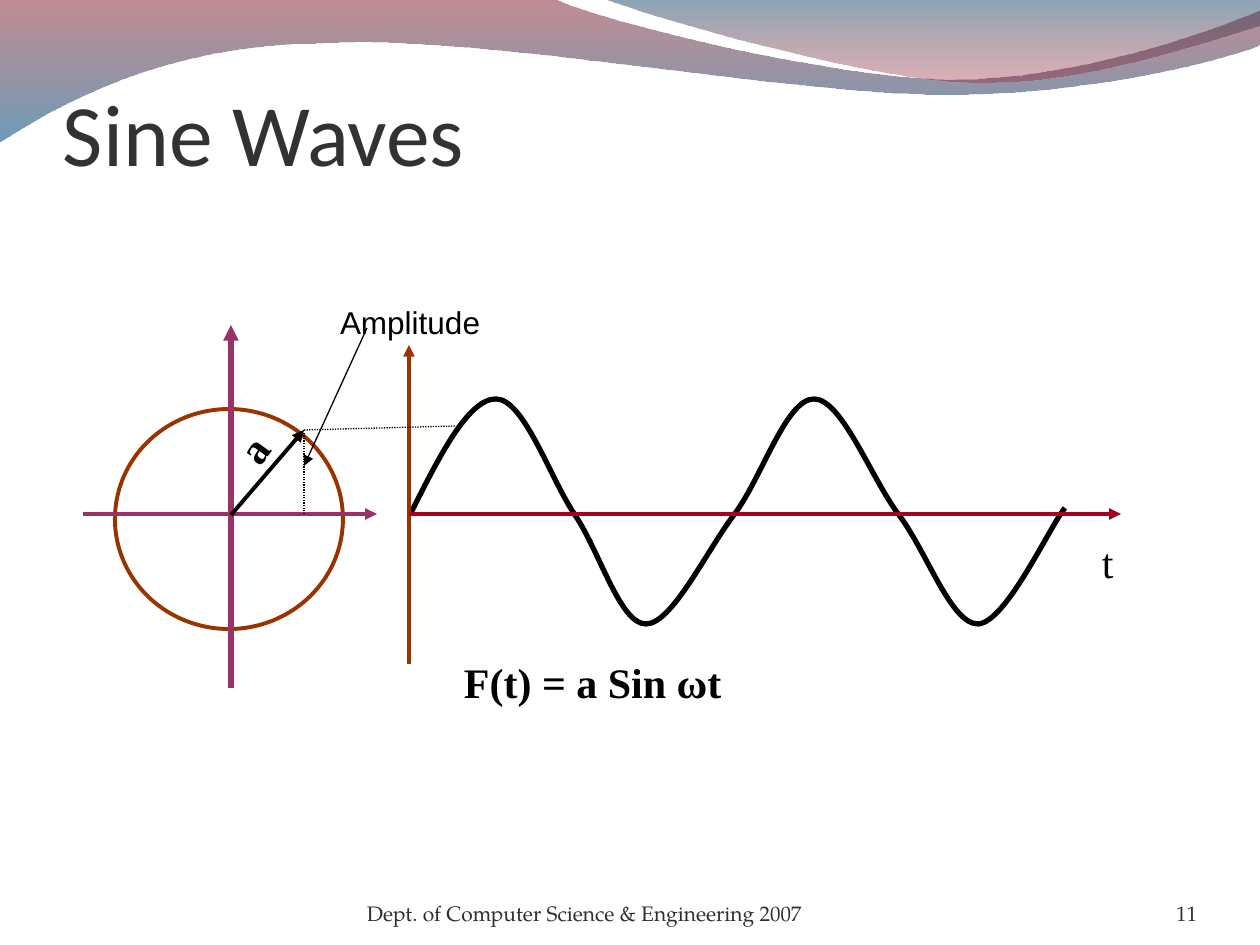
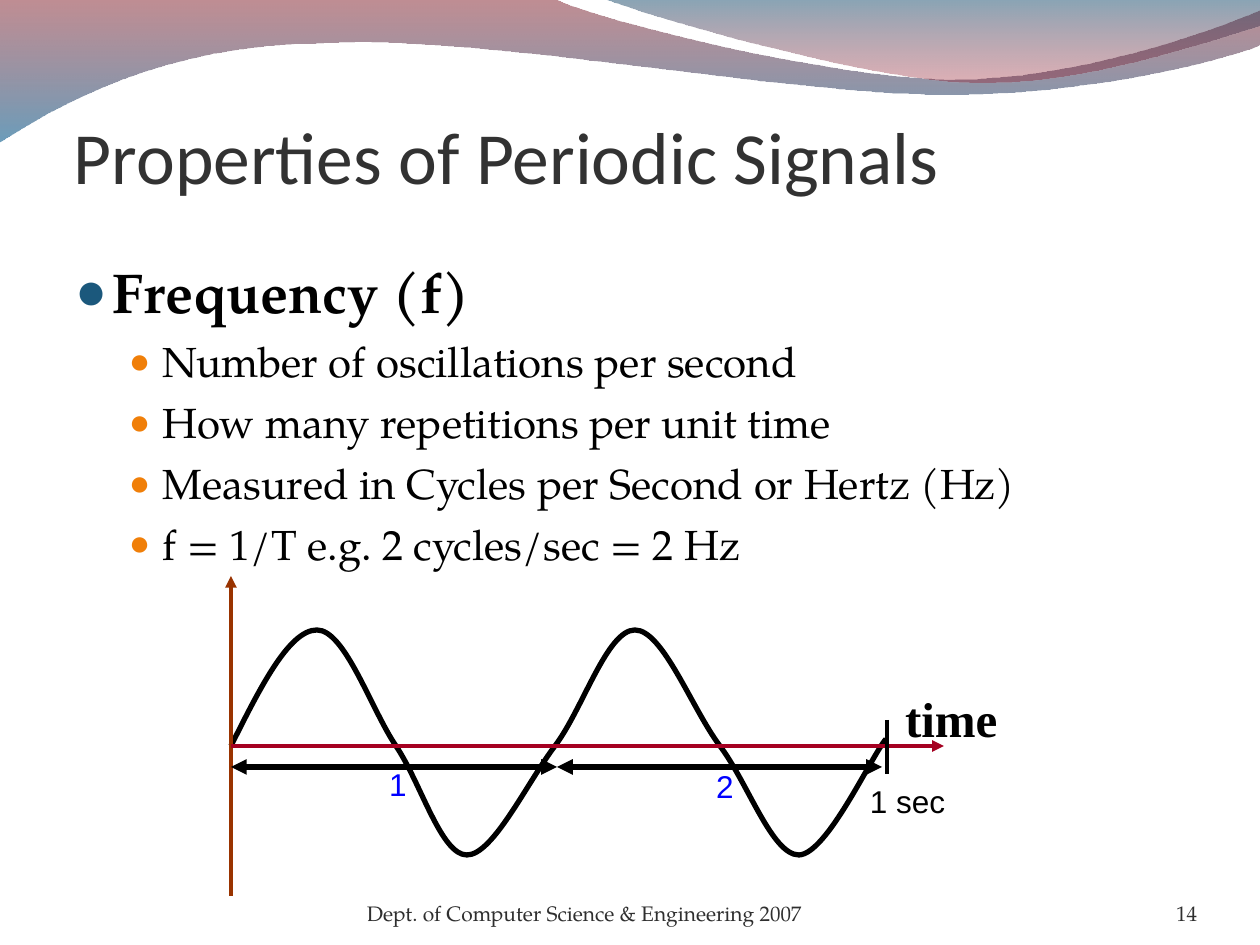
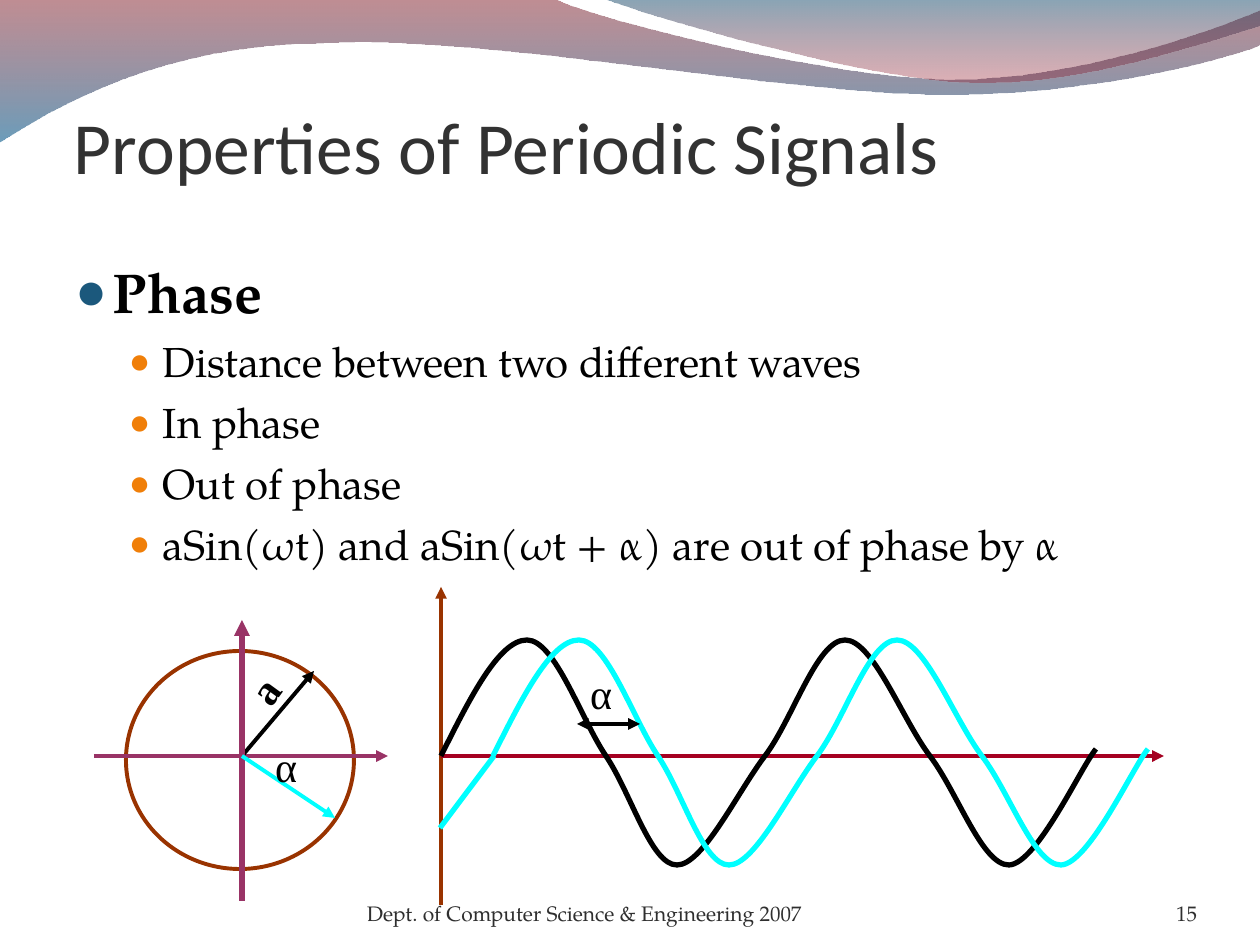
from lxml import etree
from pptx import Presentation
from pptx import util as u
from pptx.dml.color import RGBColor
from pptx.enum import dml, shapes, text
from pptx.oxml.ns import qn

SCALE = 914400 / 126
C = {
    "title": "323232", "footer": "2F2F2F", "black": "000000", "blue": "0000FF",
    "cyan": "00FFFF", "brown": "993300", "plum": "993366", "red": "A50021",
    "bullet": "1B587C", "subbullet": "F07F09",
    "wine": "7C121E", "azure": "005588", "navy": "064164", "crimson": "A00E1E",
}
SERIF, BODY = "Times New Roman", "TeX Gyre Pagella"

BANDS = [
    ([[(0, -1)], [(554, -1)],
      [(600, 21), (837, 79), (955, 79)], [(1075, 79), (1207, 33), (1260, 11)],
      [(1261, 45)],
      [(1239, 55), (1096, 96), (940, 94)], [(784, 94), (481, 35), (324, 43)],
      [(163, 44), (58, 105), (-1, 142)], [(0, -1)]],
     [("wine", 48), ("azure", 58)]),
    ([[(604, -1)],
      [(641, 14), (859, 78), (969, 82)], [(1079, 87), (1211, 40), (1260, 26)],
      [(1260, 0)], [(604, -1)]],
     [("navy", 48), ("crimson", 33)]),
]
WAVE = [[(0, 0)],
        [(29, -58), (58, -116), (86, -116)], [(114, -116), (140, -37), (165, 0)],
        [(190, 37), (210, 109), (236, 109)], [(262, 109), (296, 37), (324, 0)],
        [(352, -37), (376, -116), (404, -116)], [(432, -116), (461, -37), (489, 0)],
        [(517, 37), (541, 109), (568, 109)], [(596, 108), (640, 11), (655, -7)]]

SLIDES = [
    {
        "number": "11", "title": ("Sine Waves", (63, 73, 1134, 158), 50), "body": [],
        "marks": [
            ("wave", (410, 515), "black", 3, ""),
            ("line", (409, 664, 409, 345), "brown", 2.25, "tail"),
            ("line", (409, 514, 1121, 514), "red", 2.25, "tail"),
            ("circle", (115, 409, 228, 220), "brown", 2.25, ""),
            ("line", (231, 325, 231, 688), "plum", 3, "head"),
            ("line", (83, 514, 377, 514), "plum", 2.25, "tail"),
            ("line", (231, 515, 304, 430), "black", 2.25, "tail"),
            ("line", (304, 514, 304, 430), "black", 0.75, "dot"),
            ("line", (367, 328, 304, 466), "black", 0.75, "tail"),
            ("line", (304, 430, 456, 426), "black", 0.75, "dot"),
        ],
        "labels": [
            ("a", (231, 420, 42, 63), dict(bold=True, rotation=306)),
            ("F(t) = a Sin ωt", (451, 651, 304, 63), dict(bold=True)),
            ("t", (1089, 531, 38, 63), dict(wrap=False)),
            ("Amplitude", (327, 297, 168, 50), dict(size=18, font="Arial", wrap=False)),
        ],
    },
    {
        "number": "14", "title": ("Properties of Periodic Signals", (74, 105, 1071, 158), 42),
        "body": ["Frequency (f)", "Number of oscillations per second",
                 "How many repetitions per unit time",
                 "Measured in Cycles per Second or Hertz (Hz)",
                 "f = 1/T e.g. 2 cycles/sec = 2 Hz"],
        "marks": [
            ("wave", (231, 746), "black", 3, ""),
            ("line", (231, 896, 231, 576), "brown", 2.25, "tail"),
            ("line", (231, 746, 944, 746), "red", 2.25, "tail"),
            ("line", (231, 767, 557, 767), "black", 3, "head tail"),
            ("line", (557, 767, 882, 767), "black", 3, "head tail"),
            ("line", (887, 720, 887, 774), "black", 2.15, ""),
        ],
        "labels": [
            ("time", (892, 683, 158, 72), dict(size=28, bold=True)),
            ("1 sec", (857, 776, 104, 50), dict(size=18, font="Arial", wrap=False)),
            ("1", (376, 759, 44, 50), dict(size=18, font="Arial", color="blue", wrap=False)),
            ("2", (703, 761, 44, 50), dict(size=18, font="Arial", color="blue", wrap=False)),
        ],
    },
    {
        "number": "15", "title": ("Properties of Periodic Signals", (74, 95, 1071, 158), 42),
        "body": ["Phase", "Distance between two different waves", "In phase", "Out of phase",
                 "aSin(ωt) and aSin(ωt + α) are out of phase by α"],
        "marks": [
            ("circle", (126, 651, 228, 218), "brown", 2.25, ""),
            ("line", (94, 756, 388, 756), "plum", 2.25, "tail"),
            ("line", (242, 756, 314, 671), "black", 2.25, "tail"),
            ("line", (242, 620, 242, 901), "plum", 3, "head"),
            ("line", (441, 905, 441, 587), "brown", 2.25, "tail"),
            ("line", (441, 756, 1164, 756), "red", 2.25, "tail"),
            ("wave", (441, 756), "black", 3, ""),
            ("wave", (493, 756), "cyan", 3, ""),
            ("line", (494, 756, 440, 828), "cyan", 3, ""),
            ("line", (242, 756, 335, 818), "cyan", 2.25, "tail"),
            ("line", (577, 724, 640, 724), "black", 2.25, "head tail"),
        ],
        "labels": [
            ("a", (242, 662, 40, 63), dict(bold=True, rotation=306)),
            ("α", (262, 735, 42, 63), {}),
            ("α", (577, 662, 42, 63), {}),
        ],
    },
]


def add_text(s, words, box, size=24, font=SERIF, color="black", bold=False, wrap=True,
             rotation=0, align=None, anchor=text.MSO_ANCHOR.TOP, insets=(13, 6)):
    sp = s.shapes.add_textbox(*[round(v * SCALE) for v in box])
    sp.rotation = rotation
    tf = sp.text_frame
    tf.word_wrap = wrap
    tf.vertical_anchor = anchor
    tf.margin_left = tf.margin_right = round(insets[0] * SCALE)
    tf.margin_top = tf.margin_bottom = round(insets[1] * SCALE)
    tf.text = words
    for p in tf.paragraphs:
        p.alignment = align
        f = p.runs[0].font
        f.name, f.size, f.bold = font, u.Pt(size), bold
        f.color.rgb = RGBColor.from_string(C[color])
    return tf


def add_curve(s, segments, origin=(0, 0), close=False):
    pts = [(round((x + origin[0]) * SCALE), round((y + origin[1]) * SCALE))
           for segment in segments for x, y in segment]
    fb = s.shapes.build_freeform(*pts[0])
    fb.add_line_segments(pts[1:], close=close)
    sp = fb.convert_to_shape()
    sp.shadow.inherit = False
    steps = iter(list(sp._element.iter(qn("a:lnTo"))))
    for segment in segments[1:]:
        group = [next(steps) for _ in segment]
        if len(group) == 3:
            bezier = etree.Element(qn("a:cubicBezTo"))
            group[0].addprevious(bezier)
            for step in group:
                bezier.append(step[0])
                step.getparent().remove(step)
    return sp


prs = Presentation()
prs.slide_width, prs.slide_height = u.Inches(10), u.Inches(7.5)

for page in SLIDES:
    s = prs.slides.add_slide(prs.slide_layouts[6])

    for segments, stops in BANDS:
        band = add_curve(s, segments, close=True)
        band.line.fill.background()
        band.fill.gradient()
        band.fill.gradient_angle = 270
        for i, (stop, (color, alpha)) in enumerate(zip(band.fill.gradient_stops, stops)):
            stop.position = i
            stop.color.rgb = RGBColor.from_string(C[color])
        for clr, (color, alpha) in zip(band._element.iter(qn("a:srgbClr")), stops):
            etree.SubElement(clr, qn("a:alpha"), val=str(alpha * 1000))

    footer = dict(size=12, font=BODY, color="footer", anchor=text.MSO_ANCHOR.BOTTOM, insets=(0, 0))
    add_text(s, "Dept. of Computer Science & Engineering 2007", (367, 876, 462, 50), **footer)
    add_text(s, page["number"], (1092, 876, 105, 50), align=text.PP_ALIGN.RIGHT, **footer)
    title, box, size = page["title"]
    add_text(s, title, box, size=size, font="Calibri", color="title", insets=(0, 6))

    if page["body"]:
        tf = add_text(s, "\n".join(page["body"]), (63, 252, 1134, 592), font=BODY)
        for i, p in enumerate(tf.paragraphs):
            left, hang, color, percent = (87, 34, "subbullet", 85) if i else (37, 37, "bullet", 95)
            if i:
                p.level = 1
            else:
                p.runs[0].font.size, p.runs[0].font.bold = u.Pt(32), True
            p.space_before = u.Pt(6)
            pPr = p._p.get_or_add_pPr()
            pPr.set("marL", str(round(left * SCALE)))
            pPr.set("indent", str(round(-hang * SCALE)))
            clr = etree.SubElement(pPr, qn("a:buClr"))
            etree.SubElement(clr, qn("a:srgbClr"), val=C[color])
            etree.SubElement(pPr, qn("a:buSzPct"), val=str(percent * 1000))
            etree.SubElement(pPr, qn("a:buFont"), typeface="Arial")
            etree.SubElement(pPr, qn("a:buChar"), char="●")

    for kind, place, color, width, ends in page["marks"]:
        if kind == "wave":
            sp = add_curve(s, WAVE, origin=place)
            sp.fill.background()
        elif kind == "circle":
            sp = s.shapes.add_shape(shapes.MSO_SHAPE.OVAL, *[round(v * SCALE) for v in place])
            sp.shadow.inherit = False
            sp.fill.background()
        else:
            sp = s.shapes.add_connector(shapes.MSO_CONNECTOR.STRAIGHT,
                                        *[round(v * SCALE) for v in place])
        sp.line.color.rgb = RGBColor.from_string(C[color])
        sp.line.width = u.Pt(width)
        if kind == "line":
            if ends == "dot":
                sp.line.dash_style = dml.MSO_LINE.ROUND_DOT
            spPr = sp._element.spPr
            for end in ("head", "tail"):
                if end in ends:
                    etree.SubElement(spPr.find(qn("a:ln")), qn(f"a:{end}End"), type="triangle")
            etree.SubElement(spPr, qn("a:effectLst"))

    for words, box, style in page["labels"]:
        add_text(s, words, box, **style)

prs.save("out.pptx")
